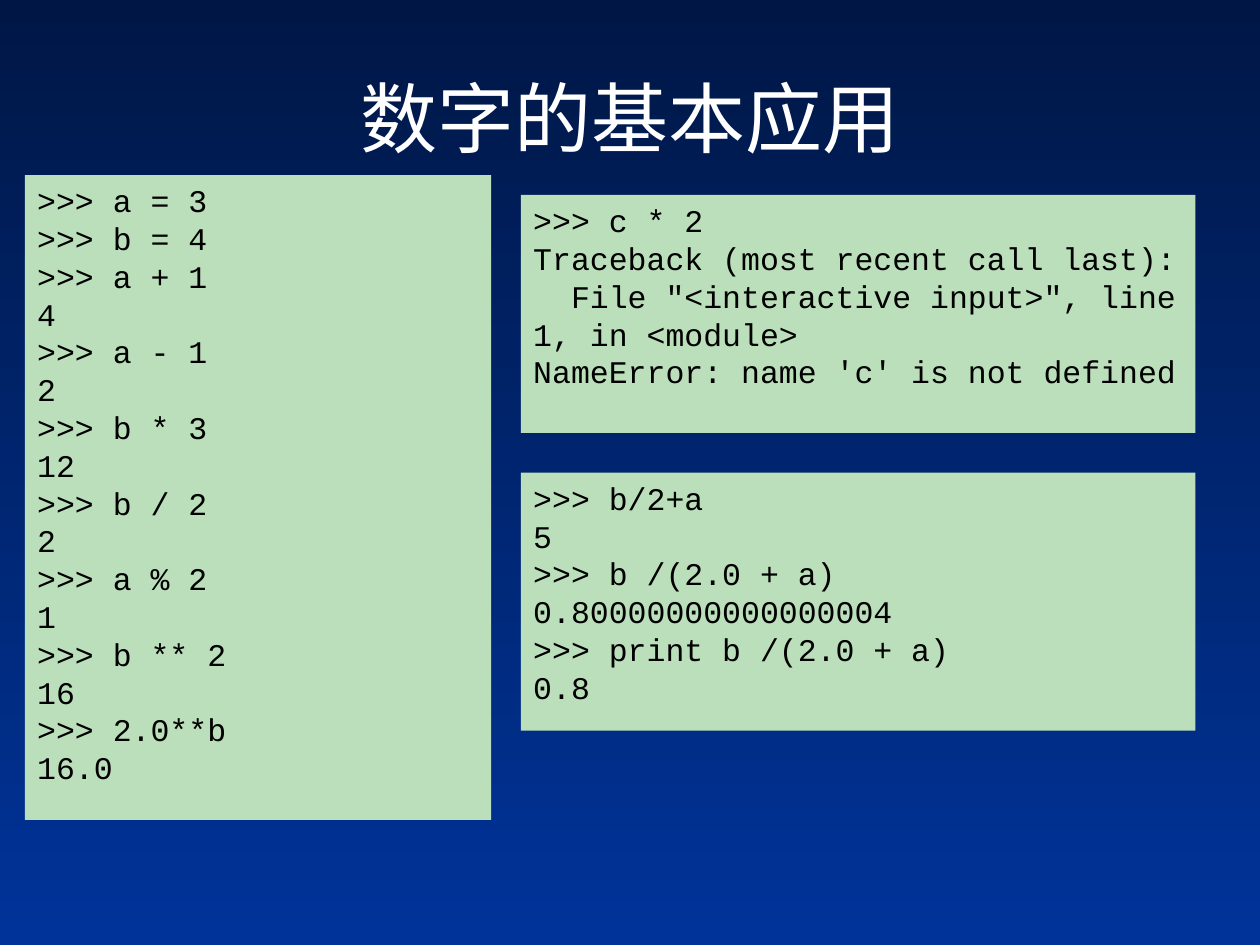
from dataclasses import dataclass

from lxml import etree
from pptx import Presentation
from pptx.dml.color import RGBColor
from pptx.enum.shapes import MSO_SHAPE
from pptx.enum.text import MSO_ANCHOR, PP_ALIGN
from pptx.oxml.ns import qn
from pptx.slide import Slide
from pptx.util import Cm, Pt

RECT = MSO_SHAPE.RECTANGLE
TOP, MIDDLE = MSO_ANCHOR.TOP, MSO_ANCHOR.MIDDLE
LEFT, CENTER = PP_ALIGN.LEFT, PP_ALIGN.CENTER


@dataclass(frozen=True)
class Theme:
    bg_top: RGBColor = RGBColor(0x00, 0x17, 0x46)
    bg_bottom: RGBColor = RGBColor(0x00, 0x33, 0x99)
    panel: RGBColor = RGBColor(0xBB, 0xDF, 0xBB)
    title: RGBColor = RGBColor(0xFF, 0xFF, 0xFF)
    code: RGBColor = RGBColor(0x00, 0x00, 0x00)
    title_font: str = "Noto Sans CJK SC"
    code_font: str = "Courier New"
    title_size: Pt = Pt(44)
    code_size: Pt = Pt(18)


@dataclass(frozen=True)
class CodePanel:
    """A console session; lengths in centimetres."""
    left: float
    top: float
    width: float
    height: float
    code: str


THEME = Theme()

PANELS = [
    CodePanel(0.5, 3.53, 9.4, 13.0, """\
>>> a = 3
>>> b = 4
>>> a + 1
4
>>> a - 1
2
>>> b * 3
12
>>> b / 2
2
>>> a % 2
1
>>> b ** 2
16
>>> 2.0**b
16.0"""),
    CodePanel(10.5, 3.93, 13.6, 4.8, """\
>>> c * 2
Traceback (most recent call last):
  File "<interactive input>", line 1, in <module>
NameError: name 'c' is not defined"""),
    CodePanel(10.5, 9.53, 13.6, 5.2, """\
>>> b/2+a
5
>>> b /(2.0 + a)
0.80000000000000004
>>> print b /(2.0 + a)
0.8"""),
]


def paint_background(s: Slide) -> None:
    fill = s.background.fill
    fill.gradient()
    fill.gradient_angle = 270
    for stop, color in zip(fill.gradient_stops, (THEME.bg_top, THEME.bg_bottom)):
        stop.color.rgb = color


def add_text_shadow(r) -> None:
    effects = etree.Element(qn("a:effectLst"))
    shadow = etree.SubElement(effects, qn("a:outerShdw"),
                              dist=str(Cm(0.07)), dir="2700000")
    etree.SubElement(shadow, qn("a:srgbClr"), val="000000")
    r.font._element.find(qn("a:solidFill")).addnext(effects)


def add_title(s: Slide, text: str) -> None:
    tf = s.shapes.add_textbox(Cm(1.27), Cm(0.76), Cm(22.86), Cm(3.18)).text_frame
    tf.word_wrap = True
    tf.vertical_anchor = MIDDLE
    tf.text = text
    p = tf.paragraphs[0]
    p.alignment = CENTER
    r = p.runs[0]
    r.font.size = THEME.title_size
    r.font.color.rgb = THEME.title
    r.font.name = THEME.title_font
    latin = r.font._element.find(qn("a:latin"))
    latin.addnext(etree.Element(qn("a:ea"), typeface=THEME.title_font))
    add_text_shadow(r)


def add_code_panel(s: Slide, panel: CodePanel) -> None:
    sp = s.shapes.add_shape(RECT, Cm(panel.left), Cm(panel.top),
                            Cm(panel.width), Cm(panel.height))
    sp.shadow.inherit = False
    sp.fill.solid()
    sp.fill.fore_color.rgb = THEME.panel
    sp.line.fill.background()
    tf = sp.text_frame
    tf.word_wrap = True
    tf.vertical_anchor = TOP
    tf.text = panel.code
    for p in tf.paragraphs:
        p.alignment = LEFT
        for r in p.runs:
            r.font.size = THEME.code_size
            r.font.name = THEME.code_font
            r.font.color.rgb = THEME.code


def main() -> None:
    prs = Presentation()
    prs.slide_width, prs.slide_height = Cm(25.4), Cm(19.05)
    s = prs.slides.add_slide(prs.slide_layouts[6])
    paint_background(s)
    add_title(s, "数字的基本应用")
    for panel in PANELS:
        add_code_panel(s, panel)
    prs.save("out.pptx")


if __name__ == "__main__":
    main()
